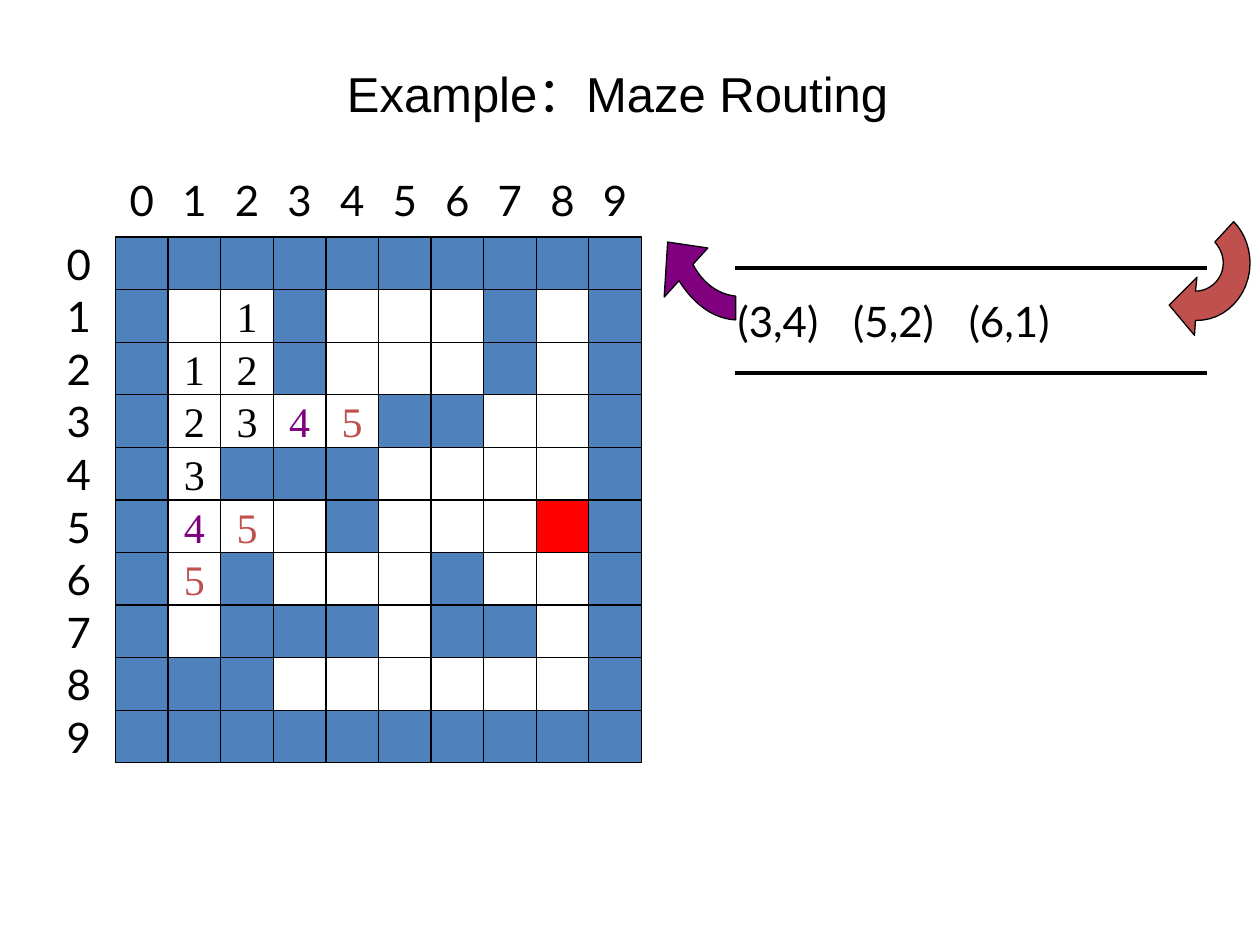
from dataclasses import dataclass

from lxml.etree import SubElement
from pptx import Presentation
from pptx.dml.color import RGBColor
from pptx.enum.shapes import MSO_CONNECTOR, MSO_SHAPE
from pptx.enum.text import MSO_ANCHOR as Anchor, MSO_AUTO_SIZE as AutoSize, PP_ALIGN as Align
from pptx.oxml.ns import qn
from pptx.util import Cm, Pt


@dataclass(frozen=True)
class Theme:
    black: str = "000000"
    wall: str = "4F81BD"
    target: str = "FF0000"
    leaving: str = "800080"
    entering: str = "C0504D"
    title_font: str = "Arial"
    label_font: str = "Lato"
    step_font: str = "Times New Roman"
    title_size: float = 28
    text_size: float = 24
    thin_line: float = 0.75
    queue_line: float = 2.25


THEME = Theme()

# '#' is a wall, '.' an open cell, 'T' the target, a digit the distance reached.
MAZE = [
    "##########",
    "#.1#...#.#",
    "#12#...#.#",
    "#2345##..#",
    "#3###....#",
    "#45.#...T#",
    "#5#...#..#",
    "#.###.##.#",
    "###......#",
    "##########",
]
CELL = 1.06
MAZE_LEFT, MAZE_TOP = 2.33, 4.78
COLUMN_LABEL_TOP, ROW_LABEL_LEFT = 3.5, 1.06

QUEUE = ["(3,4)", "(5,2)", "(6,1)"]
QUEUE_LEFT, QUEUE_RIGHT = 14.82, 24.34
QUEUE_STEP = 2.33

# Each piece is one point (straight) or three points (Bézier curve), in cm.
DEQUEUE_ARROW = [
    [(13.97, 5.33)],
    [(14.17, 5.72), (14.5, 5.94), (14.83, 5.97)],
    [(14.83, 6.45)],
    [(14.38, 6.43), (13.97, 6.12), (13.69, 5.66)],
    [(13.39, 5.99)],
    [(13.46, 4.88)],
    [(14.27, 5.0)],
]
ENQUEUE_ARROW = [
    [(24.1, 5.87)],
    [(24.41, 5.87), (24.66, 5.61), (24.66, 5.31)],
    [(24.66, 5.13), (24.59, 5.0), (24.49, 4.88)],
    [(24.87, 4.47)],
    [(25.07, 4.67), (25.2, 4.98), (25.2, 5.31)],
    [(25.2, 5.94), (24.71, 6.48), (24.1, 6.46)],
    [(24.08, 6.76)],
    [(23.57, 6.15)],
    [(24.13, 5.59)],
]


def color(value):
    return RGBColor.from_string(value)


def write(shape, text, *, font=THEME.label_font, size=THEME.text_size, fill=THEME.black,
          align=Align.CENTER, anchor=Anchor.MIDDLE, wrap=False):
    frame = shape.text_frame
    frame.word_wrap = wrap
    frame.vertical_anchor = anchor
    paragraph = frame.paragraphs[0]
    paragraph.text = text
    paragraph.alignment = align
    paragraph.font.name = font
    paragraph.font.size = Pt(size)
    paragraph.font.color.rgb = color(fill)


def add_text(slide, text, left, top, width, height, **text_format):
    box = slide.shapes.add_textbox(Cm(left), Cm(top), Cm(width), Cm(height))
    write(box, text, **text_format)
    return box


def paint(shape, fill):
    """Give a shape its fill (None for no fill) and the thin black outline."""
    shape.shadow.inherit = False
    if fill:
        shape.fill.solid()
        shape.fill.fore_color.rgb = color(fill)
    else:
        shape.fill.background()
    shape.line.color.rgb = color(THEME.black)
    shape.line.width = Pt(THEME.thin_line)


def add_cell(slide, row, column, mark):
    cell = slide.shapes.add_shape(
        MSO_SHAPE.RECTANGLE, Cm(MAZE_LEFT + column * CELL), Cm(MAZE_TOP + row * CELL),
        Cm(CELL), Cm(CELL))
    paint(cell, {"#": THEME.wall, "T": THEME.target}.get(mark))
    if mark.isdigit():
        step_colors = {"4": THEME.leaving, "5": THEME.entering}
        write(cell, mark, font=THEME.step_font, fill=step_colors.get(mark, THEME.black))


def add_maze(slide):
    for row, marks in enumerate(MAZE):
        for column, mark in enumerate(marks):
            add_cell(slide, row, column, mark)
    for index in range(len(MAZE)):
        add_text(slide, str(index), MAZE_LEFT + index * CELL, COLUMN_LABEL_TOP, CELL, CELL)
        add_text(slide, str(index), ROW_LABEL_LEFT, MAZE_TOP + index * CELL, CELL, CELL)


def add_rule(slide, top):
    rule = slide.shapes.add_connector(
        MSO_CONNECTOR.STRAIGHT, Cm(QUEUE_LEFT), Cm(top), Cm(QUEUE_RIGHT), Cm(top))
    rule.line.color.rgb = color(THEME.black)
    rule.line.width = Pt(THEME.queue_line)
    SubElement(rule.element.spPr, qn("a:effectLst"))


def curve_points(start, first, second, end, steps=12):
    """Return points along a cubic Bézier curve, without its start."""
    points = []
    for step in range(1, steps + 1):
        t = step / steps
        weights = ((1 - t) ** 3, 3 * t * (1 - t) ** 2, 3 * t ** 2 * (1 - t), t ** 3)
        points.append(tuple(
            sum(weight * value for weight, value in zip(weights, axis))
            for axis in zip(start, first, second, end)))
    return points


def add_curved_arrow(slide, pieces, fill):
    points = []
    for piece in pieces:
        points += curve_points(points[-1], *piece) if len(piece) == 3 else piece
    outline = [(Cm(x), Cm(y)) for x, y in points]
    builder = slide.shapes.build_freeform(*outline[0], scale=1.0)
    builder.add_line_segments(outline[1:], close=True)
    paint(builder.convert_to_shape(), fill)


def add_queue(slide):
    for top in (5.41, 7.52):
        add_rule(slide, top)
    add_curved_arrow(slide, DEQUEUE_ARROW, THEME.leaving)
    add_curved_arrow(slide, ENQUEUE_ARROW, THEME.entering)
    for index, position in enumerate(QUEUE):
        box = add_text(slide, position, QUEUE_LEFT + index * QUEUE_STEP, 5.84, QUEUE_STEP, 1.27,
                       align=Align.LEFT, anchor=Anchor.TOP, wrap=True)
        frame = box.text_frame
        frame.margin_left = frame.margin_right = Cm(0.05)
        frame.auto_size = AutoSize.SHAPE_TO_FIT_TEXT


def main():
    presentation = Presentation()
    presentation.slide_width, presentation.slide_height = Cm(25.4), Cm(19.05)
    slide = presentation.slides.add_slide(presentation.slide_layouts[6])
    add_maze(slide)
    add_queue(slide)
    add_text(slide, "Example：Maze Routing", 1.02, 0.28, 22.86, 3.18,
             font=THEME.title_font, size=THEME.title_size, wrap=True)
    presentation.save("out.pptx")


if __name__ == "__main__":
    main()
